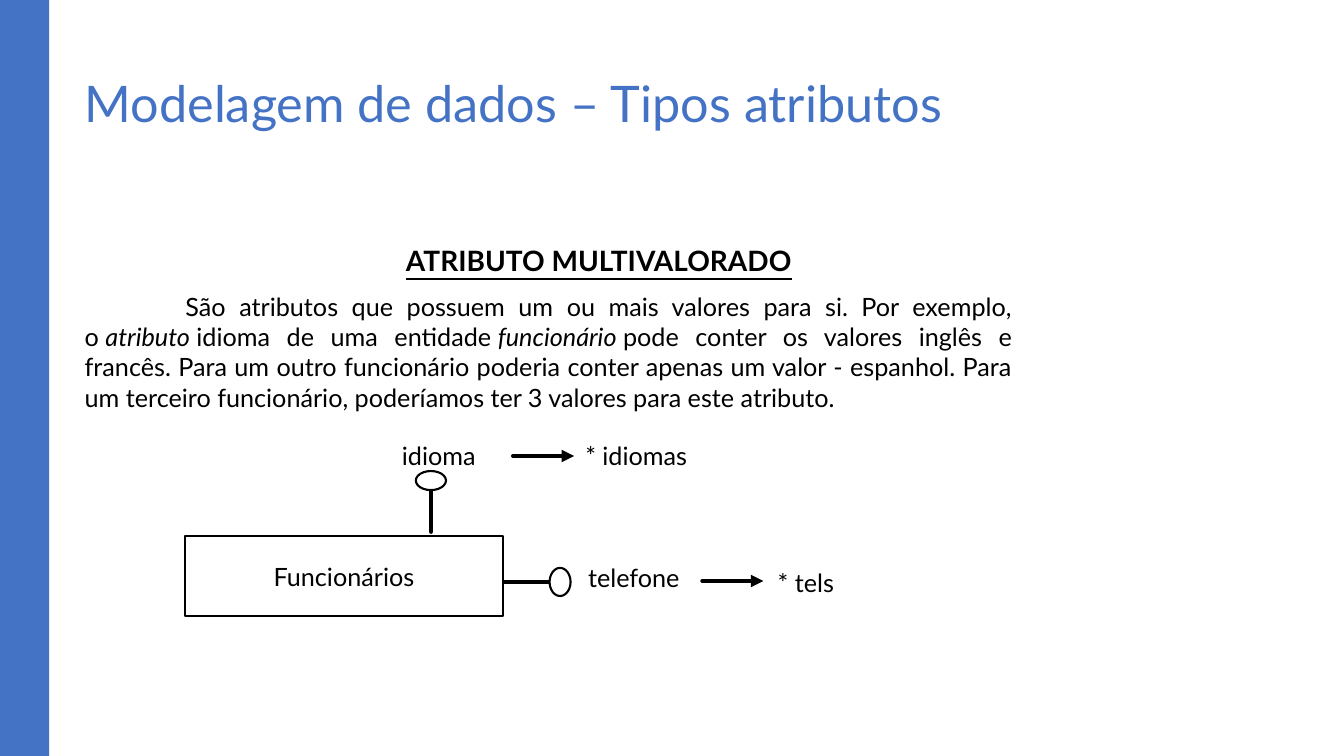
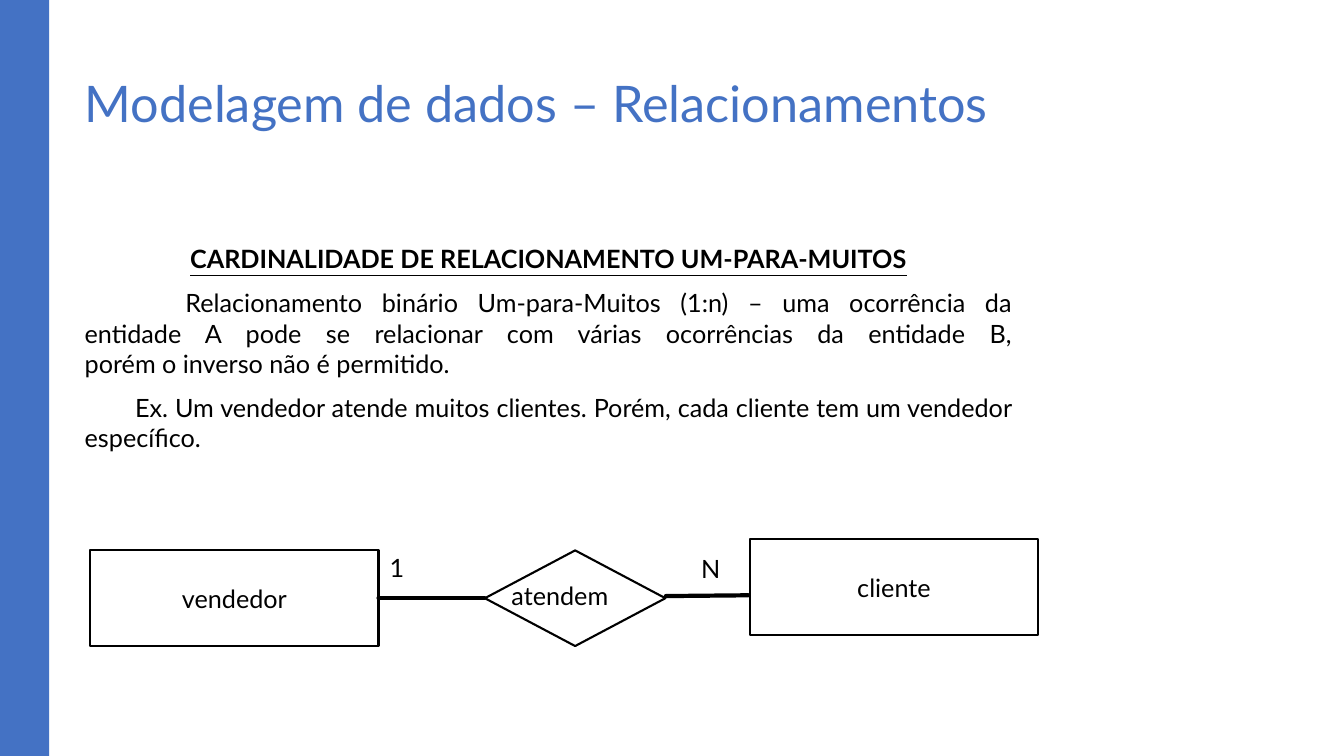
from lxml import etree
from pptx import Presentation
from pptx.dml.color import RGBColor
from pptx.enum import shapes, text
from pptx.oxml import ns
from pptx.util import Cm, Pt

BLUE, BLACK, WHITE = "4472C4", "000000", "FFFFFF"
FONT = "Lato"
SLIDE_W, SLIDE_H = 33.87, 19.05
BAND_W = 1.24
TITLE_BOX = (1.88, 1.7, 23.88, 3.66)
BODY_BOX = (1.88, 6.01, 23.88, 10.77)
LABEL_H = 1.02
TAB = 1.27
NBSP = chr(160)
SHAPE = shapes.MSO_SHAPE
ALIGN = text.PP_ALIGN


def rgb(color):
    return RGBColor.from_string(color)


def style_font(font, size=18, color=BLACK):
    font.name, font.size, font.color.rgb = FONT, Pt(size), rgb(color)


def place(shape, box):
    shape.left, shape.top, shape.width, shape.height = map(Cm, box)


def add_figure(slide, kind, box, fill=WHITE, line=BLACK, caption=""):
    figure = slide.shapes.add_shape(kind, *map(Cm, box))
    figure.shadow.inherit = False
    figure.fill.solid()
    figure.fill.fore_color.rgb = rgb(fill)
    if line:
        figure.line.color.rgb = rgb(line)
        figure.line.width = Pt(1.5)
    else:
        figure.line.fill.background()
    if caption:
        figure.text_frame.text = caption
        figure.text_frame.vertical_anchor = text.MSO_ANCHOR.MIDDLE
        paragraph = figure.text_frame.paragraphs[0]
        paragraph.alignment = ALIGN.CENTER
        style_font(paragraph.runs[0].font)
    return figure


def add_line(slide, start, end, arrow=False):
    line = slide.shapes.add_connector(
        shapes.MSO_CONNECTOR.STRAIGHT, *map(Cm, (*start, *end)))
    line.line.color.rgb = rgb(BLACK)
    line.line.width = Pt(3)
    outline = line._element.spPr.find(ns.qn("a:ln"))
    outline.set("cap", "rnd")
    if arrow:
        etree.SubElement(outline, ns.qn("a:tailEnd"), type="triangle")
    etree.SubElement(line._element.spPr, ns.qn("a:effectLst"))


def add_label(slide, caption, left, top, width):
    label = slide.shapes.add_textbox(*map(Cm, (left, top, width, LABEL_H)))
    label.text_frame.word_wrap = True
    label.text_frame.text = caption
    style_font(label.text_frame.paragraphs[0].runs[0].font)


def prepare_layout(prs):
    """Move the title and body of the title-and-content layout."""
    layout = prs.slide_layouts[1]
    for placeholder, box in zip(layout.placeholders, (TITLE_BOX, BODY_BOX)):
        place(placeholder, box)
        placeholder.text_frame.vertical_anchor = text.MSO_ANCHOR.TOP
        placeholder.text_frame.auto_size = text.MSO_AUTO_SIZE.NONE
    return layout


def add_slide(prs, layout, title):
    """Add a titled slide; the first one also puts the band on the layout."""
    slide = prs.slides.add_slide(layout)
    if len(prs.slides) == 1:
        band = add_figure(slide, SHAPE.RECTANGLE, (0, 0, BAND_W, SLIDE_H), BLUE, None)
        layout.shapes.element.insert(2, band._element)
    slide.shapes.title.text_frame.text = title
    paragraph = slide.shapes.title.text_frame.paragraphs[0]
    paragraph.alignment = ALIGN.LEFT
    style_font(paragraph.runs[0].font, 36, BLUE)
    return slide


def format_paragraph(paragraph, alignment, margin=0, indent=0):
    properties = paragraph._p.get_or_add_pPr()
    properties.set("marL", str(Cm(margin)))
    properties.set("indent", str(Cm(indent)))
    etree.SubElement(properties, ns.qn("a:buNone"))
    paragraph.alignment = alignment


def fill_body(slide, heading, heading_size, heading_margin, paragraphs):
    """Paragraphs are (first-line indent, text); *asterisks* mark italics."""
    frame = slide.placeholders[1].text_frame
    frame.text = heading
    first = frame.paragraphs[0]
    format_paragraph(first, ALIGN.CENTER, heading_margin)
    first.space_before = Pt(0)
    font = first.runs[0].font
    style_font(font, heading_size)
    font.bold = font.underline = True
    for indent, content in paragraphs:
        paragraph = frame.add_paragraph()
        format_paragraph(paragraph, ALIGN.JUSTIFY, indent=indent)
        paragraph.space_before = Pt(10)
        for part, words in enumerate(content.split("*")):
            for row, row_text in enumerate(words.split("\n")):
                if row:
                    paragraph.add_line_break()
                run = paragraph.add_run()
                run.text = row_text
                style_font(run.font)
                run.font.italic = part % 2 == 1


def draw_attributes(slide, left, top):
    """Entity with two multivalued attributes, each with its plural name."""
    def at(x, y):
        return left + x, top + y

    add_figure(slide, SHAPE.RECTANGLE, (*at(0, 2.54), 8, 2.01), caption="Funcionários")
    attributes = [
        (at(6.19, 1.39), at(6.19, 2.43), (*at(5.81, 0.9), 0.76, 0.48)),
        (at(9.17, 3.69), at(8.05, 3.69), (*at(9.18, 3.34), 0.53, 0.71)),
    ]
    for start, end, oval in attributes:
        add_line(slide, start, end)
        add_figure(slide, SHAPE.FLOWCHART_CONNECTOR, oval)
    for x, y in ((8.26, 0.52), (13.03, 3.67)):
        add_line(slide, at(x, y), at(x + 1.54, y), arrow=True)
    for caption, x, y, width in (
            ("idioma", 5.21, 0, 2.44), ("* idiomas", 9.83, 0, 3.12),
            ("telefone", 9.9, 3.07, 2.95), ("* tels", 14.68, 3.2, 1.98)):
        add_label(slide, caption, *at(x, y), width)


def draw_relationship(slide, left, top):
    """Two entities joined by a one-to-many relationship."""
    def at(x, y):
        return left + x, top + y

    for kind, caption, x, y, width in (
            (SHAPE.FLOWCHART_PROCESS, "vendedor", 0, 0.28, 7.26),
            (SHAPE.FLOWCHART_PROCESS, "cliente", 16.62, 0, 7.26),
            (SHAPE.FLOWCHART_DECISION, "", 9.94, 0.28, 4.55)):
        add_figure(slide, kind, (*at(x, y), width, 2.41), caption=caption)
    add_line(slide, at(7.26, 1.48), at(9.93, 1.48))
    add_line(slide, at(14.5, 1.43), at(16.58, 1.41))
    for caption, x, y, width in (
            ("atendem", 10.36, 0.91, 3.05), ("N", 15.14, 0.23, 0.91), ("1", 7.29, 0.2, 0.99)):
        add_label(slide, caption, *at(x, y), width)


def main():
    prs = Presentation()
    prs.slide_width, prs.slide_height = Cm(SLIDE_W), Cm(SLIDE_H)
    layout = prepare_layout(prs)

    slide = add_slide(prs, layout, "Modelagem de dados – Tipos atributos")
    fill_body(slide, "ATRIBUTO MULTIVALORADO", 20, 2 * TAB, [
        (2 * TAB, "São atributos que possuem um ou mais valores para si. Por exemplo, "
                  f"o{NBSP}*atributo*{NBSP}idioma de uma entidade{NBSP}*funcionário*{NBSP}pode "
                  "conter os valores inglês e francês. Para um outro funcionário poderia conter "
                  "apenas um valor - espanhol. Para um terceiro funcionário, poderíamos ter "
                  "3 valores para este atributo."),
    ])
    draw_attributes(slide, 4.67, 10.97)

    slide = add_slide(prs, layout, "Modelagem de dados – Relacionamentos")
    fill_body(slide, "CARDINALIDADE DE RELACIONAMENTO UM-PARA-MUITOS", 18, 0, [
        (2 * TAB, "Relacionamento binário Um-para-Muitos (1:n) – uma ocorrência da entidade A "
                  "pode se relacionar com várias ocorrências da entidade B,\n"
                  "porém o inverso não é permitido."),
        (TAB, "Ex. Um vendedor atende muitos clientes. Porém, cada cliente tem um vendedor "
              "específico."),
    ])
    draw_relationship(slide, 2.28, 13.59)

    prs.save("out.pptx")


if __name__ == "__main__":
    main()
